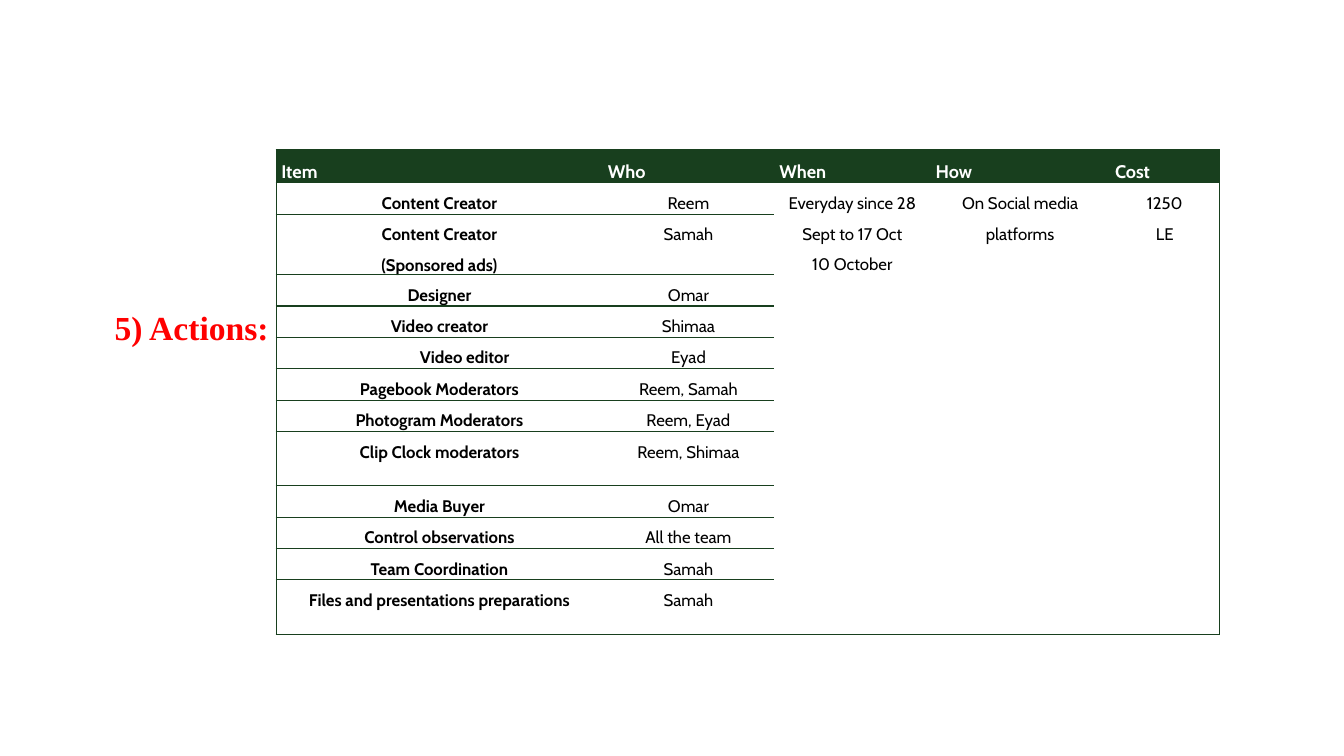
from dataclasses import dataclass
from lxml.etree import SubElement
from pptx import Presentation
from pptx.dml.color import RGBColor as RGB
from pptx.enum.text import PP_ALIGN as Align
from pptx.oxml.ns import qn
from pptx.util import Cm, Pt


@dataclass(frozen=True)
class Theme:
    green: str = "183F1E"
    white: str = "FFFFFF"
    black: str = "000000"
    red: str = "FF0000"
    title_font: str = "Times New Roman"
    table_font: str = "Cabin"
    title_size: int = 24
    header_size: int = 13
    body_size: int = 12


theme = Theme()


def style(paragraph, name, size, color, bold):
    paragraph.line_spacing = 1.5
    font = paragraph.font
    font.name, font.size, font.bold = name, Pt(size), bold
    font.color.rgb = RGB.from_string(color)


def draw_borders(cell, visible):
    properties = cell._tc.get_or_add_tcPr()
    for side in "LRTB":
        line = SubElement(properties, qn(f"a:ln{side}"), w=str(Pt(1)))
        if side in visible:
            fill = SubElement(line, qn("a:solidFill"))
            SubElement(fill, qn("a:srgbClr"), val=theme.green)
        else:
            SubElement(line, qn("a:noFill"))


# Slide
deck = Presentation()
deck.slide_width, deck.slide_height = Cm(33.87), Cm(19.05)
slide = deck.slides.add_slide(deck.slide_layouts[6])

# Title
title = slide.shapes.add_textbox(Cm(2.64), Cm(7.09), Cm(5.61), Cm(1.63)).text_frame
title.word_wrap = True
title.text = "5) Actions:"
title.paragraphs[0].space_after = Pt(8)
style(title.paragraphs[0], theme.title_font, theme.title_size, theme.red, True)

# Table contents
headings = ["Item", "Who", "When", "How", "Cost"]
tasks = [
    ("Content Creator", "Reem"),
    ("Content Creator\n(Sponsored ads)", "Samah"),
    ("Designer", "Omar"),
    ("Video creator", "Shimaa"),
    ("Video editor", "Eyad"),
    ("Pagebook Moderators", "Reem, Samah"),
    ("Photogram Moderators", "Reem, Eyad"),
    ("Clip Clock moderators", "Reem, Shimaa"),
    ("Media Buyer", "Omar"),
    ("Control observations", "All the team"),
    ("Team Coordination", "Samah"),
    ("Files and presentations preparations", "Samah"),
]
shared = ["Everyday since 28 Sept to 17 Oct\n10 October", "On Social media platforms", "1250\nLE"]
rows = [headings, [*tasks[0], *shared]] + [[*task, "", "", ""] for task in tasks[1:]]
last_row, last_column = len(rows) - 1, len(headings) - 1
tall_rows = {2, 8, 12}

# Table grid
actions = slide.shapes.add_table(
    len(rows), len(headings), Cm(6.96), Cm(3.78), Cm(23.8), Cm(12.27)).table
actions.horz_banding = False
for column, width in zip(actions.columns, [8.23, 4.32, 3.94, 4.52, 2.77]):
    column.width = Cm(width)
for r, row in enumerate(actions.rows):
    row.height = Cm(1.37 if r in tall_rows else 0.79)
for c in range(2, len(headings)):
    actions.cell(1, c).merge(actions.cell(last_row, c))

# Table cells
for r, row in enumerate(rows):
    for c, text in enumerate(row):
        cell = actions.cell(r, c)
        header = r == 0
        cell.margin_left = cell.margin_right = Cm(0.13)
        cell.margin_top = cell.margin_bottom = 0

        visible = "L" if c == 0 else "R" if c == last_column else ""
        if c < 2 or r <= 1:
            visible += "T"
        if c < 2 or header or r == last_row or cell.is_merge_origin:
            visible += "B"
        draw_borders(cell, visible)
        if header:
            cell.fill.solid()
            cell.fill.fore_color.rgb = RGB.from_string(theme.green)
        else:
            cell.fill.background()

        cell.text = text
        for paragraph in cell.text_frame.paragraphs:
            if header:
                style(paragraph, theme.table_font, theme.header_size, theme.white, True)
            else:
                paragraph.alignment = Align.CENTER
                style(paragraph, theme.table_font, theme.body_size, theme.black, c == 0)
            if text == "Video editor":
                paragraph._p.get_or_add_pPr().set("indent", str(Cm(1.27)))

deck.save("out.pptx")
